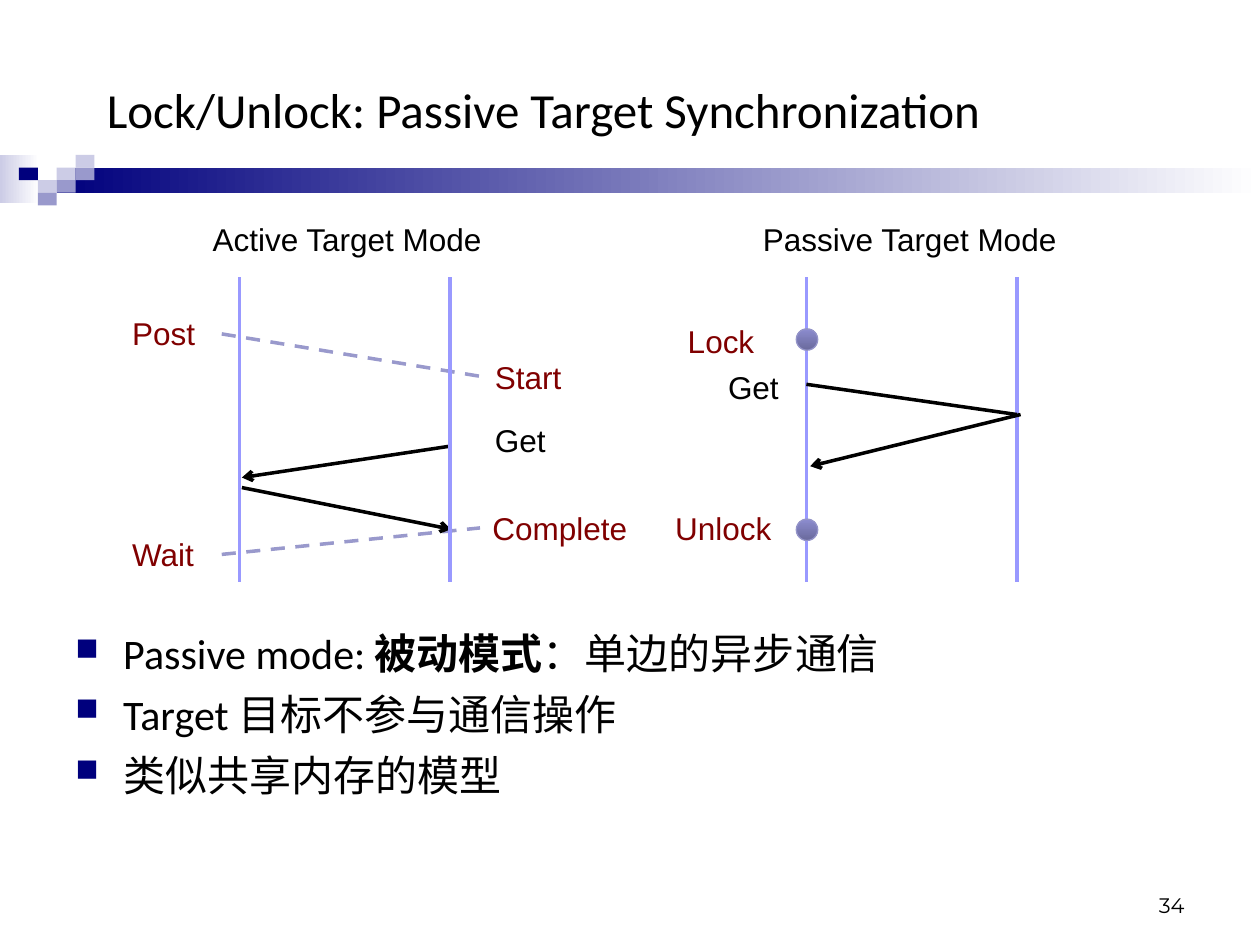
import dataclasses

import pptx
import pptx.dml.color
import pptx.enum.dml
import pptx.enum.shapes
import pptx.enum.text
import pptx.oxml.ns
import pptx.util
from lxml import etree

ALIGN = pptx.enum.text.PP_ALIGN
ANCHOR = pptx.enum.text.MSO_ANCHOR
SHAPE = pptx.enum.shapes.MSO_SHAPE
qn = pptx.oxml.ns.qn


@dataclasses.dataclass(frozen=True)
class Theme:
    black: str = "000000"
    white: str = "FFFFFF"
    navy: str = "00007D"
    pale: str = "CCCCE6"
    lavender: str = "9999CC"
    timeline: str = "9999FF"
    sync: str = "800000"
    dot_dark: str = "6A6A9C"
    dot_light: str = "8C8CCF"
    dot_edge: str = "9494C9"
    body_font: str = "Calibri"
    label_font: str = "Arial"
    number_font: str = "Montserrat"
    title_size: int = 28
    body_size: int = 24
    label_size: int = 18
    number_size: int = 12
    line_width: float = 2
    edge_width: float = 0.75


THEME = Theme()

# The slide is a grid of 100 columns by 75 rows, each 0.1 inch
COLUMNS, ROWS = 100, 75
CELL = pptx.util.Inches(0.1)

LIFELINE_TOP, LIFELINE_BOTTOM = 22, 46.2
ACTIVE_TARGET, ACTIVE_ORIGIN = 19, 35.7
PASSIVE_ORIGIN, PASSIVE_TARGET = 64, 80.7
LABEL_HEIGHT = 4


def cells(*counts):
    return [round(count * CELL) for count in counts]


def rgb(color):
    return pptx.dml.color.RGBColor.from_string(color)


def style(font, size, name, color):
    font.size = pptx.util.Pt(size)
    font.name = name
    font.color.rgb = rgb(color)


def add_block(slide, kind, box, colors, angle=0, edge=None):
    """A preset shape with one fill colour, or a gradient of two."""
    block = slide.shapes.add_shape(kind, *cells(*box))
    block.shadow.inherit = False
    if len(colors) == 1:
        block.fill.solid()
        block.fill.fore_color.rgb = rgb(colors[0])
    else:
        block.fill.gradient()
        block.fill.gradient_angle = angle
        for stop, color in zip(block.fill.gradient_stops, colors):
            stop.color.rgb = rgb(color)
    if edge:
        block.line.color.rgb = rgb(edge)
        block.line.width = pptx.util.Pt(THEME.edge_width)
    else:
        block.line.fill.background()


def add_text(slide, text, box, size, font, color, align=ALIGN.LEFT,
             anchor=ANCHOR.TOP, wrap=True, grow=False):
    frame = slide.shapes.add_textbox(*cells(*box)).text_frame
    frame.word_wrap = wrap
    frame.vertical_anchor = anchor
    if grow:
        frame.auto_size = pptx.enum.text.MSO_AUTO_SIZE.SHAPE_TO_FIT_TEXT
    frame.text = text
    paragraph = frame.paragraphs[0]
    paragraph.alignment = align
    style(paragraph.runs[0].font, size, font, color)


def add_label(slide, text, left, top, width, color=THEME.black,
              align=ALIGN.LEFT, wrap=True):
    add_text(slide, text, (left, top, width, LABEL_HEIGHT), THEME.label_size,
             THEME.label_font, color, align, wrap=wrap, grow=True)


def add_line(slide, start, end, color, dashed=False, arrow=False):
    line = slide.shapes.add_connector(
        pptx.enum.shapes.MSO_CONNECTOR.STRAIGHT, *cells(*start, *end))
    line.line.color.rgb = rgb(color)
    line.line.width = pptx.util.Pt(THEME.line_width)
    if dashed:
        line.line.dash_style = pptx.enum.dml.MSO_LINE.DASH
    properties = line._element.spPr
    if arrow:
        etree.SubElement(properties.find(qn("a:ln")), qn("a:tailEnd"), type="arrow")
    etree.SubElement(properties, qn("a:effectLst"))


def add_lifelines(slide, *columns):
    for column in columns:
        add_line(slide, (column, LIFELINE_TOP), (column, LIFELINE_BOTTOM),
                 THEME.timeline)


def add_bullets(slide, items, box):
    """Each item is a list of (text, bold) pieces."""
    frame = slide.shapes.add_textbox(*cells(*box)).text_frame
    frame.word_wrap = True
    for index, pieces in enumerate(items):
        paragraph = frame.add_paragraph() if index else frame.paragraphs[0]
        properties = paragraph._p.get_or_add_pPr()
        indent = pptx.util.Inches(0.38)
        properties.set("marL", str(indent))
        properties.set("indent", str(-indent))
        bullet_color = etree.SubElement(properties, qn("a:buClr"))
        etree.SubElement(bullet_color, qn("a:srgbClr"), val=THEME.navy)
        etree.SubElement(properties, qn("a:buSzPct"), val="75000")
        etree.SubElement(properties, qn("a:buChar"), char="■")
        if index:
            paragraph.space_before = pptx.util.Pt(6)
        for text, bold in pieces:
            run = paragraph.add_run()
            run.text = text
            style(run.font, THEME.body_size, THEME.body_font, THEME.black)
            run.font.bold = bold


def add_banner(slide):
    add_block(slide, SHAPE.RECTANGLE, (0, 12.3, 3.1, 3.8), (THEME.pale, THEME.white))
    add_block(slide, SHAPE.RECTANGLE, (4.5, 13.3, COLUMNS - 4.5, 2),
              (THEME.navy, THEME.white))
    # Mosaic tiles: column, row, colour
    tile_width, tile_height = 1.5, 1
    for column, row, color in [(3, 1, THEME.pale), (4, 0, THEME.pale),
                               (4, 1, THEME.lavender), (2, 2, THEME.pale),
                               (1, 1, THEME.navy), (3, 2, THEME.lavender),
                               (2, 3, THEME.lavender)]:
        add_block(slide, SHAPE.RECTANGLE,
                  (column * tile_width, 12.3 + row * tile_height,
                   tile_width, tile_height), (color,))


def add_active_mode(slide):
    add_label(slide, "Active Target Mode", 15.7, 17, 23.7, align=ALIGN.CENTER, wrap=False)
    # Matching synchronization calls
    add_line(slide, (17.6, 26.5), (38.3, 29.9), THEME.lavender, dashed=True)
    add_line(slide, (17.6, 44), (38.1, 41.9), THEME.lavender, dashed=True)
    for text, left, top, width in [("Start", 38.3, 27.9, 9), ("Complete", 38.1, 39.9, 13.2),
                                   ("Post", 9.5, 24.4, 8.2), ("Wait", 9.5, 42, 8.2)]:
        add_label(slide, text, left, top, width, THEME.sync)
    # Get request and reply
    add_line(slide, (35.8, 35.4), (19.2, 37.9), THEME.black, arrow=True)
    add_line(slide, (19.2, 38.7), (35.8, 42), THEME.black, arrow=True)
    add_lifelines(slide, ACTIVE_TARGET, ACTIVE_ORIGIN)
    add_label(slide, "Get", 38.3, 32.9, 7.7)


def add_passive_mode(slide):
    add_label(slide, "Passive Target Mode", 59.4, 17, 25.6, align=ALIGN.CENTER, wrap=False)
    add_lifelines(slide, PASSIVE_ORIGIN, PASSIVE_TARGET)
    add_label(slide, "Lock", 53.6, 25.1, 9.1, THEME.sync)
    add_label(slide, "Unlock", 52.6, 39.9, 10, THEME.sync)
    # Get request and reply
    add_line(slide, (PASSIVE_ORIGIN, 30.5), (PASSIVE_TARGET, 32.9), THEME.black)
    add_line(slide, (81, 32.9), (64.3, 37), THEME.black, arrow=True)
    # Lock and unlock points
    diameter = 1.7
    for top in (26.1, 41.2):
        add_block(slide, SHAPE.OVAL, (63.2, top, diameter, diameter),
                  (THEME.dot_dark, THEME.dot_light), 90, THEME.dot_edge)
    add_label(slide, "Get", 56.8, 28.7, 6, wrap=False)


def main():
    deck = pptx.Presentation()
    deck.slide_width, deck.slide_height = cells(COLUMNS, ROWS)
    slide = deck.slides.add_slide(deck.slide_layouts[6])

    add_banner(slide)
    add_text(slide, "Lock/Unlock: Passive Target Synchronization",
             (7.5, 4.2, 84.2, 8.9), THEME.title_size, THEME.body_font,
             THEME.black, anchor=ANCHOR.MIDDLE)
    add_bullets(slide, [
        [("Passive mode: ", False), ("被动模式", True), ("：单边的异步通信", False)],
        [("Target 目标不参与通信操作", False)],
        [("类似共享内存的模型", False)],
    ], (5, 49.3, 90, 15.5))
    add_text(slide, "34", (71.7, 68.3, 23.3, 5), THEME.number_size,
             THEME.number_font, THEME.black, ALIGN.RIGHT, ANCHOR.BOTTOM)
    add_active_mode(slide)
    add_passive_mode(slide)

    deck.save("out.pptx")


if __name__ == "__main__":
    main()
